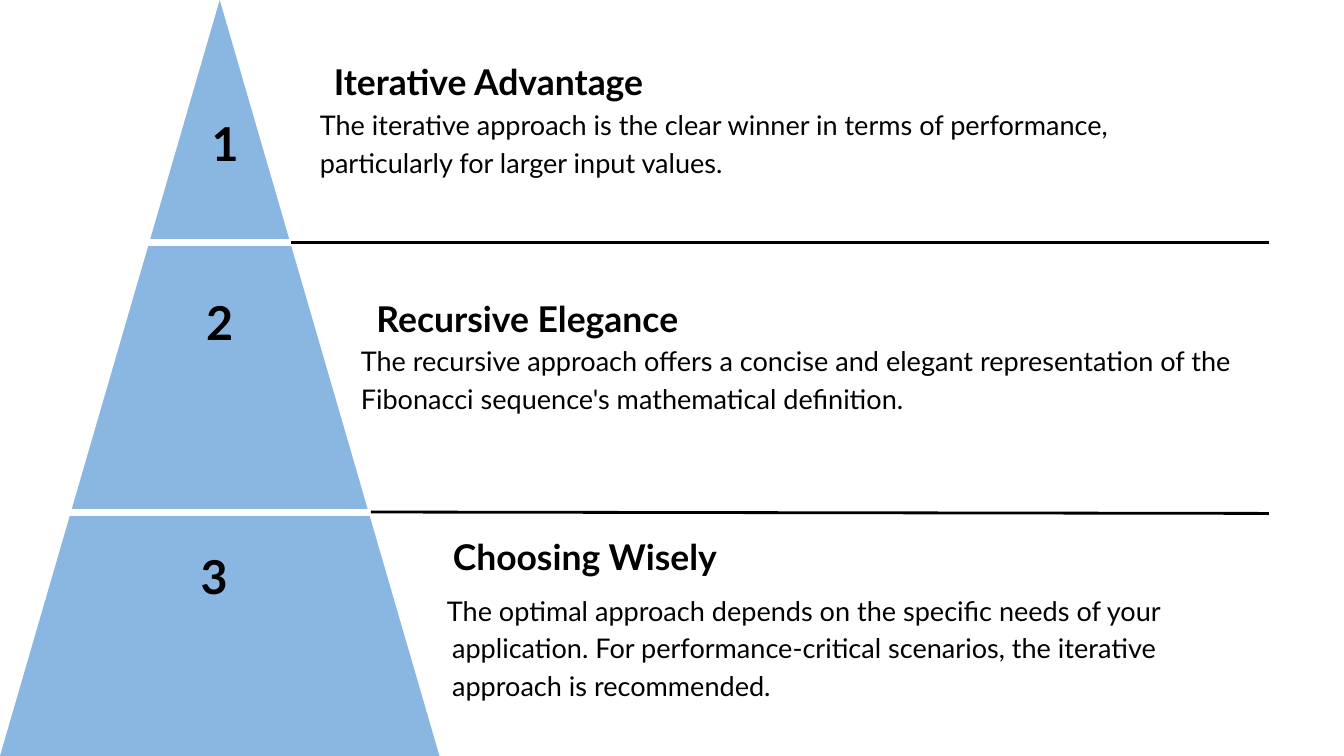
from lxml.etree import SubElement
from pptx import Presentation
from pptx.dml.color import RGBColor
from pptx.enum.shapes import MSO_CONNECTOR
from pptx.enum.text import MSO_AUTO_SIZE, PP_ALIGN
from pptx.oxml.ns import qn
from pptx.util import Pt

BLACK, WHITE, BLUE = "000000", "FFFFFF", "8AB7E2"
LEFT, CENTER = PP_ALIGN.LEFT, PP_ALIGN.CENTER
LINE_SPACING = 1.4


def color(hex_code):
    return RGBColor.from_string(hex_code)


def add_text(box, lines, size, bold, align, hanging=0):
    """Put one paragraph per line in a box; lines after the first are indented by hanging."""
    frame = slide.shapes.add_textbox(*map(Pt, box)).text_frame
    frame.word_wrap = True
    frame.auto_size = MSO_AUTO_SIZE.SHAPE_TO_FIT_TEXT
    frame.margin_left = frame.margin_top = frame.margin_right = frame.margin_bottom = 0
    for index, line in enumerate(lines):
        paragraph = frame.add_paragraph() if index else frame.paragraphs[0]
        paragraph.alignment = align
        paragraph.line_spacing = Pt(size * LINE_SPACING)
        if index and hanging:
            paragraph._p.get_or_add_pPr().set("marL", str(Pt(hanging)))
        run = paragraph.add_run()
        run.text = line
        run.font.name = "Lato"
        run.font.size = Pt(size)
        run.font.bold = bold
        run.font.color.rgb = color(BLACK)


prs = Presentation()
prs.slide_width, prs.slide_height = Pt(1440), Pt(810)
slide = prs.slides.add_slide(prs.slide_layouts[6])

# Pyramid
base, height = 470.9, 810
outline = slide.shapes.build_freeform(Pt(base / 2), 0)
outline.add_line_segments([(Pt(base), Pt(height)), (0, Pt(height))], close=True)
pyramid = outline.convert_to_shape()
pyramid.shadow.inherit = False
pyramid.fill.solid()
pyramid.fill.fore_color.rgb = color(BLUE)
pyramid.line.fill.background()

# White cuts through the pyramid, then the black dividers beside it
upper, lower = 259.9, 548.6
rules = [
    (71.3, upper, 342.7, upper, WHITE, 7.5),
    (23, lower, 416.9, lower, WHITE, 7.5),
    (311.8, upper, 1359.4, upper, BLACK, 3),
    (397.4, lower, 1359.4, 550.1, BLACK, 3),
]
for x1, y1, x2, y2, rule_color, weight in rules:
    rule = slide.shapes.add_connector(
        MSO_CONNECTOR.STRAIGHT, Pt(x1), Pt(y1), Pt(x2), Pt(y2))
    rule.line.color.rgb = color(rule_color)
    rule.line.width = Pt(weight)
    SubElement(rule._element.spPr, qn("a:effectLst"))

# Levels: number box, heading and its box, body lines and their box
levels = [
    ((226.8, 113, 17.3, 67),
     "Iterative Advantage", (341.3, 56.2, 364.3, 51.1),
     ["The iterative approach is the clear winner in terms of performance, "
      "particularly for larger input values."], (342.7, 110.9, 908.6, 118.1)),
    ((221, 305.3, 28.8, 67),
     "Recursive Elegance", (386.6, 310.3, 357.1, 51.1),
     ["The recursive approach offers a concise and elegant representation of the "
      "Fibonacci sequence's mathematical definition."], (386.6, 363.6, 972.7, 118.1)),
    ((214.6, 577.4, 29.5, 67),
     "Choosing Wisely", (432, 565.2, 389.5, 51.1),
     ["The optimal approach depends on the specific needs of your",
      "application. For performance-critical scenarios, the iterative",
      "approach is recommended."], (478.8, 630.7, 961.2, 163.4)),
]
for number, (number_box, heading, heading_box, body, body_box) in enumerate(levels, 1):
    add_text(heading_box, [heading], 38, True, CENTER)
    add_text(body_box, body, 29, False, LEFT, hanging=5.6)
    add_text(number_box, [str(number)], 50, True, CENTER)

prs.save("out.pptx")
